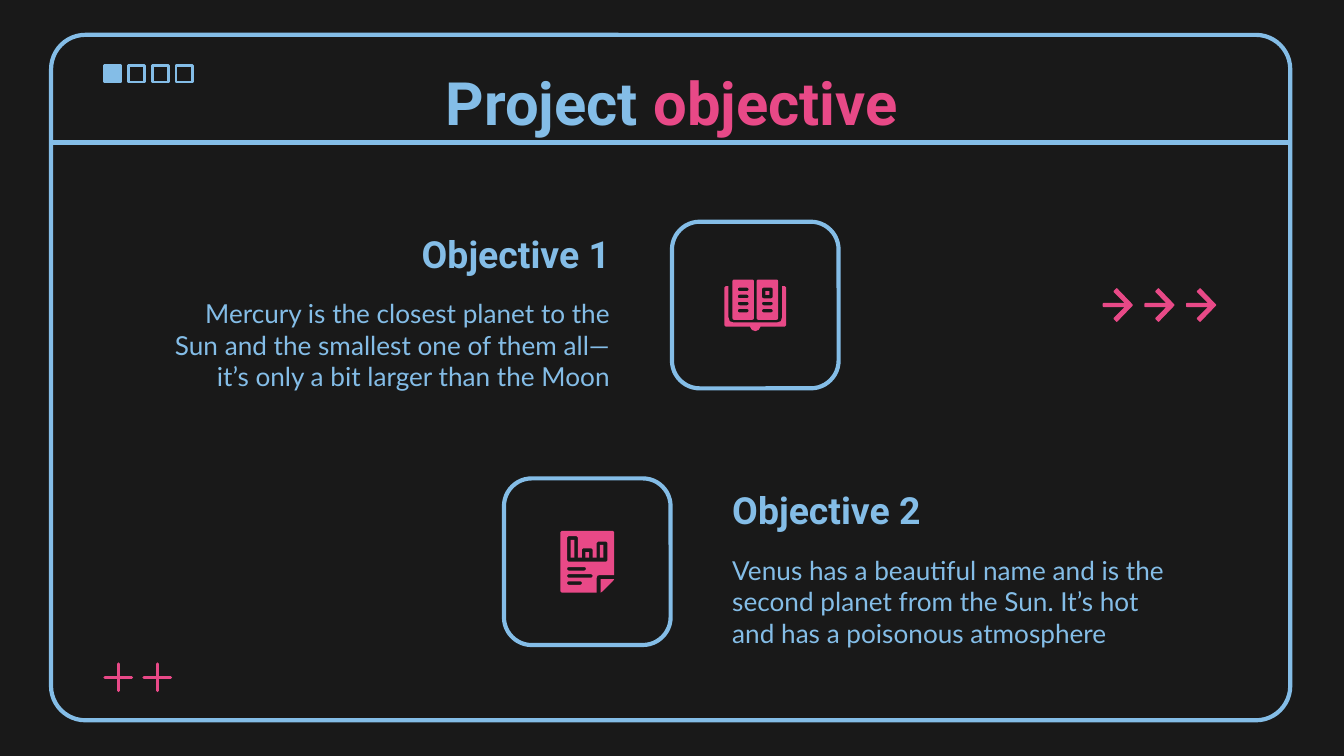
import math

from pptx import Presentation
from pptx.dml.color import RGBColor
from pptx.enum.shapes import MSO_CONNECTOR, MSO_SHAPE
from pptx.enum.text import MSO_ANCHOR, MSO_AUTO_SIZE, PP_ALIGN
from pptx.oxml.ns import qn
from pptx.util import Inches, Pt
from lxml import etree

DARK = RGBColor(0x19, 0x19, 0x19)
BLUE = RGBColor(0x84, 0xBD, 0xE7)
PINK = RGBColor(0xE8, 0x49, 0x87)
RECT, ROUNDED = MSO_SHAPE.RECTANGLE, MSO_SHAPE.ROUNDED_RECTANGLE
STAR = MSO_SHAPE.STAR_4_POINT
STRAIGHT = MSO_CONNECTOR.STRAIGHT
LEFT, CENTER, RIGHT = PP_ALIGN.LEFT, PP_ALIGN.CENTER, PP_ALIGN.RIGHT
MIDDLE, BOTTOM = MSO_ANCHOR.MIDDLE, MSO_ANCHOR.BOTTOM
NO_FIT = MSO_AUTO_SIZE.NONE

WIDTH = 10
HEIGHT = WIDTH * 9 / 16
TILE = 1.24
TEXT_WIDTH, HEADING_HEIGHT, BODY_HEIGHT = 3.46, 0.61, 0.75


def inches(*lengths):
    return [Inches(length) for length in lengths]


def paint(shape, fill=None, line=None, weight=1.5):
    shape.shadow.inherit = False
    if fill is None:
        shape.fill.background()
    else:
        shape.fill.solid()
        shape.fill.fore_color.rgb = fill
    if line is None:
        shape.line.fill.background()
    else:
        shape.line.color.rgb = line
        shape.line.width = Pt(weight)


def add_preset(slide, preset, box, adjust=None, **style):
    shape = slide.shapes.add_shape(preset, *inches(*box))
    if adjust is not None:
        shape.adjustments[0] = adjust
    paint(shape, **style)


def write(holder, *runs, font="Roboto", size=20, bold=False, align=LEFT, anchor=MIDDLE):
    """Fill a text holder with (text, colour) runs of one format."""
    frame = holder.text_frame
    frame.word_wrap = True
    frame.auto_size = NO_FIT
    frame.vertical_anchor = anchor
    frame.margin_left = frame.margin_right = Inches(0.1)
    frame.margin_top = frame.margin_bottom = Inches(0.1)
    paragraph = frame.paragraphs[0]
    paragraph.alignment = align
    for text, colour in runs:
        run = paragraph.add_run()
        run.text = text
        run.font.name, run.font.size, run.font.bold = font, Pt(size), bold
        run.font.color.rgb = colour


def pill(x, y, w, h, radius=1.2):
    """Outline of a rectangle with rounded corners."""
    corners = [(x + w - radius, y + h - radius, 0), (x + radius, y + h - radius, 90),
               (x + radius, y + radius, 180), (x + w - radius, y + radius, 270)]
    return [(cx + radius * math.cos(math.radians(start + turn)),
             cy + radius * math.sin(math.radians(start + turn)))
            for cx, cy, start in corners for turn in (0, 30, 60, 90)]


def add_outline(slide, left, top, contours, **style):
    """Draw contours given in hundredths of an inch; inner ones cut holes."""
    def place(points):
        return [(left * 1000 + x * 10, top * 1000 + y * 10) for x, y in points]

    first, *others = [place(contour) for contour in contours]
    builder = slide.shapes.build_freeform(*first[0], scale=914.4)
    builder.add_line_segments(first[1:], close=True)
    for contour in others:
        builder.move_to(*contour[0])
        builder.add_line_segments(contour[1:], close=True)
    paint(builder.convert_to_shape(), **style)


# Icons: width, height and contours in hundredths of an inch
def book_icon():
    cover = [(0, 6), (1, 5), (3, 5), (3, 28), (4, 31), (7, 32), (39, 32), (42, 31),
             (43, 28), (43, 5), (45, 5), (46, 6), (46, 34), (45, 35), (27, 35),
             (25.5, 37.5), (23, 38.4), (20.5, 37.5), (19, 35), (1, 35), (0, 34)]
    pages = [pill(x, 0, 16, 30) for x in (6, 24)]
    text_lines = [pill(10, 6 + 5.3 * row, 8, 2.6) for row in range(4)]
    text_lines += [pill(28, 6 + 5.3 * row, 8, 2.6) for row in (2, 3)]
    picture = [pill(28, 6, 8, 8), pill(30.6, 8.6, 2.8, 2.8, 0.1)]
    return 46, 38, [cover, *pages, *text_lines, *picture]


def report_icon():
    sheet = [(0, 1), (1, 0), (39, 0), (40, 1), (40, 33), (29, 33), (27.5, 33.5),
             (27, 35), (27, 46), (1, 46), (0, 45)]
    chart = [(5, 5), (6, 4), (12, 4), (13, 5), (13, 20), (16, 20), (16, 14), (17, 13),
             (23, 13), (24, 14), (24, 20), (27, 20), (27, 9), (28, 8), (34, 8),
             (35, 9), (35, 22), (34, 23), (6, 23), (5, 22)]
    bars = [pill(x, 20 - h, 2.7, h, 0.1) for x, h in ((7.7, 13.3), (18.6, 4.2), (29.3, 9.6))]
    text_lines = [pill(5, 27 + 5.3 * row, w, 2.6) for row, w in enumerate((14, 19, 11))]
    fold = [(30, 36), (40, 36), (39, 37.5), (31.5, 45), (30, 46)]
    return 40, 46, [sheet, chart, *bars, *text_lines, fold]


def add_window(slide, left, top, width, height):
    """Rounded frame, header rule and page markers."""
    add_preset(slide, ROUNDED, (left, top, width, height), 0.05, line=BLUE, weight=2.25)
    rule_y, overhang = top + 0.8, 0.01
    rule = slide.shapes.add_connector(
        STRAIGHT, *inches(left - overhang, rule_y, left + width + overhang, rule_y))
    rule.line.color.rgb = BLUE
    rule.line.width = Pt(2.25)
    etree.SubElement(rule._element.spPr, qn("a:effectLst"))
    for page in range(4):
        add_preset(slide, RECT, (left + 0.4 + 0.53 * page / 3, top + 0.23, 0.12, 0.12),
                   fill=BLUE if page == 0 else None, line=BLUE)


def add_title(slide, left, top, width, height):
    title = slide.shapes.title
    title.left, title.top, title.width, title.height = inches(left, top, width, height)
    write(title, ("Project ", BLUE), ("objective", PINK),
          size=32, bold=True, align=CENTER, anchor=BOTTOM)


def add_objective(slide, left, top, width, heading, body, icon, tile_first):
    """Tile with a centred icon on one side, heading and body on the other."""
    tile_left = left if tile_first else left + width - TILE
    text_left = left + width - TEXT_WIDTH if tile_first else left
    align = LEFT if tile_first else RIGHT
    tile_top = top + 0.07
    add_preset(slide, ROUNDED, (tile_left, tile_top, TILE, TILE), 0.167, line=BLUE, weight=2.25)
    icon_width, icon_height, contours = icon
    add_outline(slide, tile_left + (TILE - icon_width / 100) / 2,
                tile_top + (TILE - icon_height / 100) / 2, contours, fill=PINK)

    heading_box = slide.shapes.add_textbox(*inches(text_left, top, TEXT_WIDTH, HEADING_HEIGHT))
    write(heading_box, (heading, BLUE), bold=True, align=align)
    body_box = slide.shapes.add_textbox(
        *inches(text_left, top + HEADING_HEIGHT, TEXT_WIDTH, BODY_HEIGHT))
    write(body_box, (body, BLUE), font="Lato", size=14, align=align)


def add_arrows(slide, left, top, pitch):
    arrow = [(10, 0), (8, 2), (17, 11), (0, 11), (0, 13), (17, 13),
             (8, 22), (10, 24), (21.5, 12)]
    for step in range(3):
        add_outline(slide, left + pitch * step, top, [arrow], fill=PINK, line=PINK, weight=0.75)


def add_pluses(slide, left, top, pitch):
    for step in range(2):
        add_preset(slide, STAR, (left + pitch * step, top, 0.2, 0.2), 0, fill=PINK, line=PINK)


def main():
    deck = Presentation()
    deck.slide_width, deck.slide_height = inches(WIDTH, HEIGHT)
    slide = deck.slides.add_slide(deck.slide_layouts[5])
    slide.background.fill.solid()
    slide.background.fill.fore_color.rgb = DARK

    add_window(slide, 0.38, 0.26, 9.22, 5.1)
    add_title(slide, 0.79, 0.49, 8.42, 0.63)
    add_objective(slide, 1.18, 1.58, 5.06, "Objective 1",
                  "Mercury is the closest planet to the Sun and the smallest one of "
                  "them all—it’s only a bit larger than the Moon", book_icon(), False)
    add_objective(slide, 3.75, 3.49, 5.06, "Objective 2",
                  "Venus has a beautiful name and is the second planet from the Sun. "
                  "It’s hot and has a poisonous atmosphere", report_icon(), True)
    add_arrows(slide, 8.21, 2.15, 0.31)
    add_pluses(slide, 0.78, 4.94, 0.29)
    deck.save("out.pptx")


if __name__ == "__main__":
    main()
